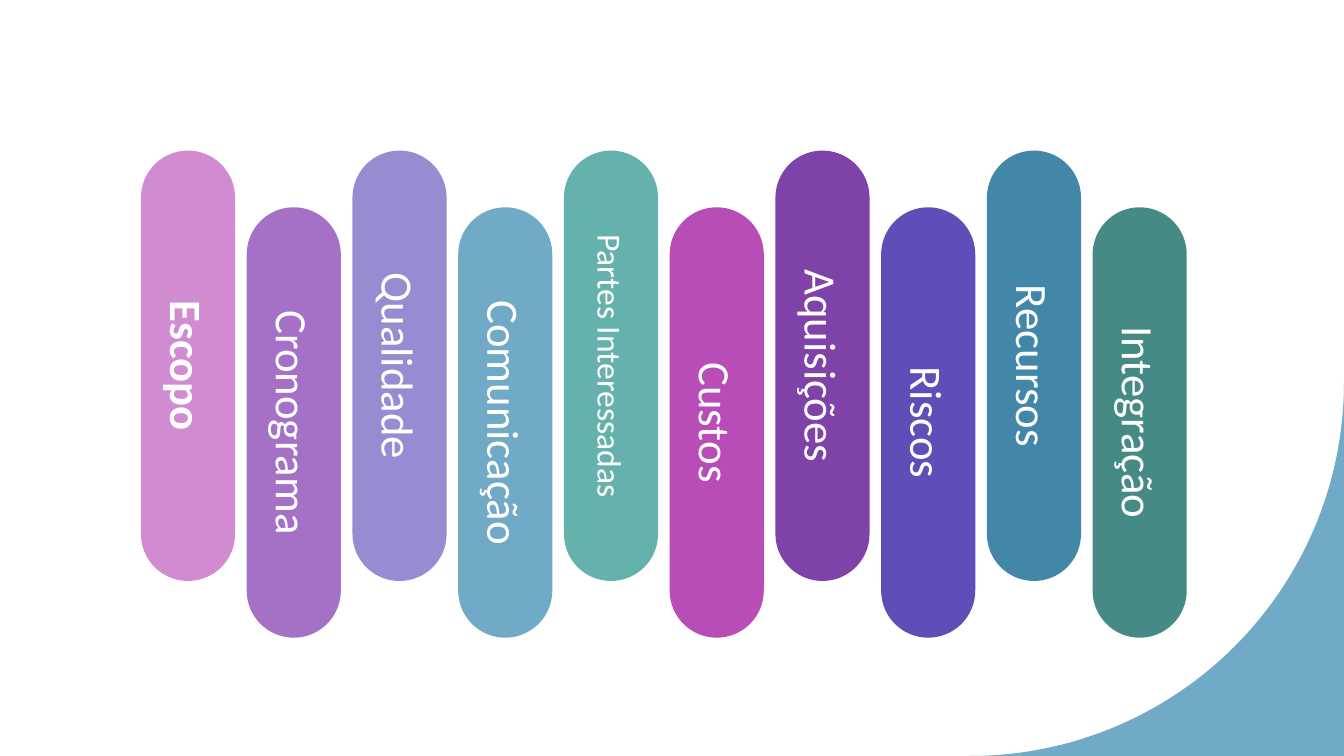
"""Build a slide of ten upright pills naming project management areas."""
from dataclasses import dataclass
from math import cos, pi, sin

from pptx import Presentation
from pptx.dml.color import RGBColor as RGB
from pptx.enum.shapes import MSO_SHAPE as Shape
from pptx.enum.text import MSO_ANCHOR as Anchor, PP_ALIGN as Align
from pptx.util import Pt


@dataclass(frozen=True)
class Theme:
    font: str = "Calibri"
    text: str = "FFFFFF"
    curve: str = "71AAC7"
    large: int = 32
    small: int = 24


THEME = Theme()
WIDE, HIGH = 960, 540
LEFT, PITCH = 100.7, 75.53
TOPS = (107.6, 148.1)
PILL = (67.2, 307.4)
RADIUS, STEPS = 267, 90
AREAS = (
    ("Escopo", "D18BD1", {"bold": True}),
    ("Cronograma", "A471C7", {}),
    ("Qualidade", "978BD1", {}),
    ("Comunicação", "71AAC7", {}),
    ("Partes Interessadas", "65B1AB", {"size": Pt(THEME.small)}),
    ("Custos", "B84DB8", {}),
    ("Aquisições", "7E42A8", {}),
    ("Riscos", "5F4DB8", {}),
    ("Recursos", "4286A8", {}),
    ("Integração", "468A85", {}),
)


def paint(shape, color):
    shape.shadow.inherit = False
    shape.fill.solid()
    shape.fill.fore_color.rgb = RGB.from_string(color)
    shape.line.fill.background()


def add_curve(slide):
    x, y = WIDE - RADIUS, HIGH - RADIUS
    turns = [pi / 2 * step / STEPS for step in range(STEPS + 1)]
    arc = [(Pt(x + RADIUS * cos(turn)), Pt(y + RADIUS * sin(turn))) for turn in turns]
    pen = slide.shapes.build_freeform(Pt(WIDE), Pt(HIGH))
    pen.add_line_segments(arc, close=True)
    paint(pen.convert_to_shape(), THEME.curve)


def add_pill(slide, index, name, color, style):
    left, top = LEFT + index * PITCH, TOPS[index % 2]
    box = map(Pt, (left, top, *PILL))
    pill = slide.shapes.add_shape(Shape.ROUNDED_RECTANGLE, *box)
    pill.adjustments[0] = 0.5
    paint(pill, color)
    frame = pill.text_frame
    frame.vertical_anchor = Anchor.MIDDLE
    pill.element.txBody.bodyPr.set("vert", "vert")
    para = frame.paragraphs[0]
    para.alignment = Align.CENTER
    run = para.add_run()
    run.text = name
    run.font.color.rgb = RGB.from_string(THEME.text)
    values = {"name": THEME.font, "size": Pt(THEME.large), "bold": False} | style
    for key, value in values.items():
        setattr(run.font, key, value)


def main():
    deck = Presentation()
    deck.slide_width, deck.slide_height = Pt(WIDE), Pt(HIGH)
    slide = deck.slides.add_slide(deck.slide_layouts[6])
    add_curve(slide)
    for index, area in enumerate(AREAS):
        add_pill(slide, index, *area)
    deck.save("out.pptx")


if __name__ == "__main__":
    main()
